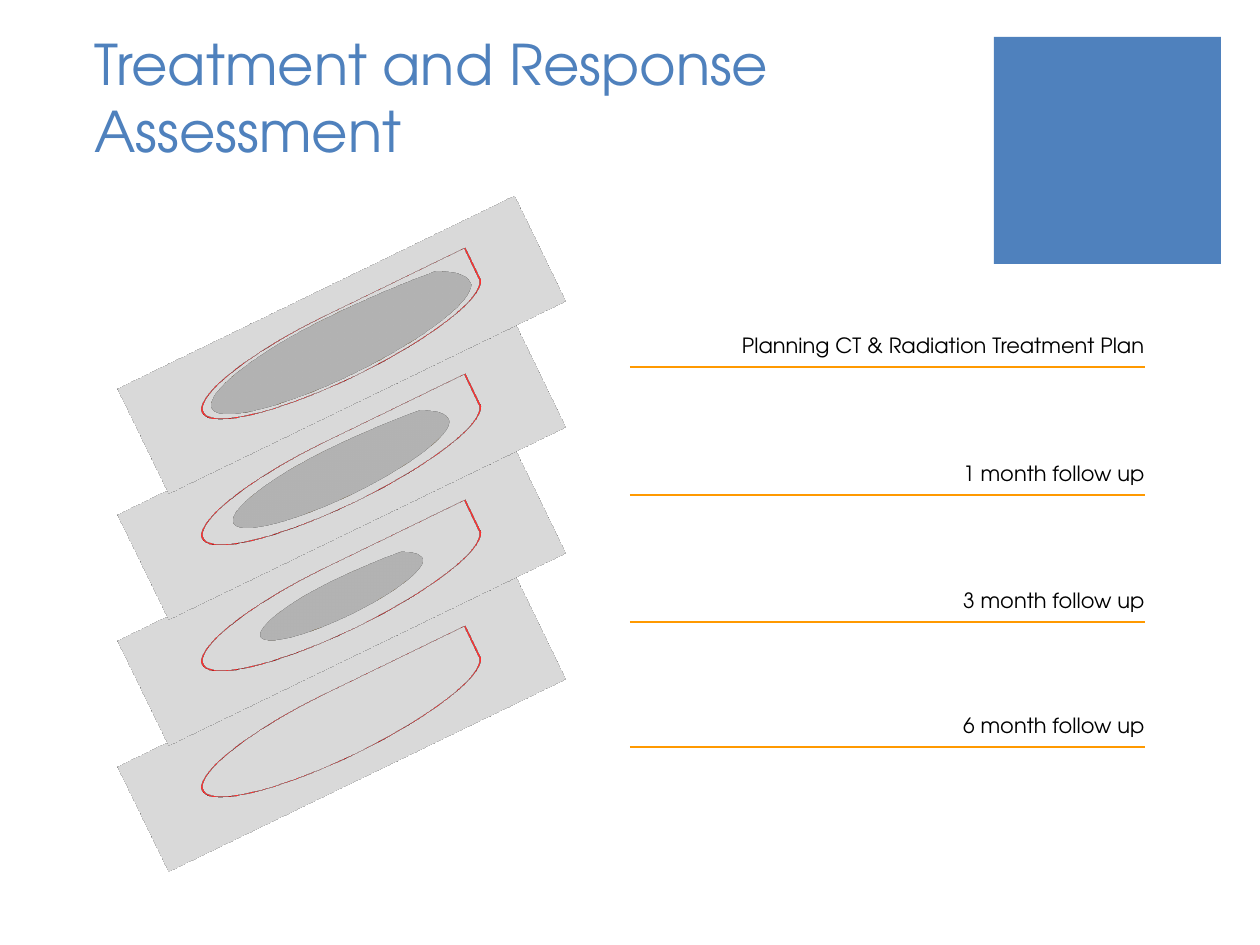
import lxml.etree
import pptx
import pptx.dml.color
import pptx.enum.shapes
import pptx.enum.text
import pptx.oxml.ns
import pptx.util

PX = 914400 // 126
FONT = "TeX Gyre Adventor"
COLORS = {
    "blue": "4F81BD",
    "orange": "FF9900",
    "white": "FFFFFF",
    "black": "000000",
    "slab": "A6A6A6",
    "tumor": "808080",
    "red": "FF0000",
}
SHAPES = pptx.enum.shapes.MSO_SHAPE
ALIGN = pptx.enum.text.PP_ALIGN
ANCHOR = pptx.enum.text.MSO_ANCHOR

STACK_CENTER = 341
STACK_TOP = 345
STACK_STEP = 126
SLAB_SIZE = (441, 378)
CONTOUR_SIZE = (306, 215)
TUMOR_SIZES = [(287, 198), (238, 164), (179, 123), None]
TUMOR_POINT = 0.814
TILT = {"lat": "17286000", "lon": "0", "rev": "1554000"}
STAGES = [  # label, line position, label width
    ("Planning CT & Radiation Treatment Plan", 367, 509),
    ("1 month follow up", 495, 420),
    ("3 month follow up", 622, 420),
    ("6 month follow up", 747, 420),
]


def rgb(name):
    return pptx.dml.color.RGBColor.from_string(COLORS[name])


def write(shape, text, size, color, align=ALIGN.LEFT, anchor=ANCHOR.MIDDLE):
    frame = shape.text_frame
    frame.word_wrap = True
    frame.vertical_anchor = anchor
    para = frame.paragraphs[0]
    para.alignment = align
    span = para.add_run()
    span.text = text
    span.font.name = FONT
    span.font.size = pptx.util.Pt(size)
    span.font.color.rgb = rgb(color)


def tilt(shape):
    """Turn the shape in its plane and lean it back, as a layer of the stack."""
    scene = lxml.etree.SubElement(
        shape._element.spPr, pptx.oxml.ns.qn("a:scene3d"))
    camera = lxml.etree.SubElement(
        scene, pptx.oxml.ns.qn("a:camera"), prst="orthographicFront")
    lxml.etree.SubElement(camera, pptx.oxml.ns.qn("a:rot"), **TILT)
    lxml.etree.SubElement(
        scene, pptx.oxml.ns.qn("a:lightRig"), rig="threePt", dir="t")


class Canvas:
    def __init__(self, deck):
        self.page = deck.slides.add_slide(deck.slide_layouts[6])

    def shape(self, kind, left, top, width, height, fill=None, line=None, weight=1):
        box = self.page.shapes.add_shape(
            kind, left * PX, top * PX, width * PX, height * PX)
        box.shadow.inherit = False
        if fill:
            box.fill.solid()
            box.fill.fore_color.rgb = rgb(fill)
        else:
            box.fill.background()
        if line:
            box.line.color.rgb = rgb(line)
            box.line.width = pptx.util.Pt(weight)
        else:
            box.line.fill.background()
        return box

    def title(self, text, left, top, width, height):
        box = self.page.shapes.add_textbox(
            left * PX, top * PX, width * PX, height * PX)
        write(box, text, size=32, color="blue", anchor=ANCHOR.BOTTOM)

    def rule(self, left, right, top):
        line = self.page.shapes.add_connector(
            pptx.enum.shapes.MSO_CONNECTOR.STRAIGHT,
            left * PX, top * PX, right * PX, top * PX)
        line.line.color.rgb = rgb("orange")
        line.line.width = pptx.util.Pt(1)
        lxml.etree.SubElement(
            line._element.spPr, pptx.oxml.ns.qn("a:effectLst"))

    def label(self, text, right, top, width):
        box = self.shape(SHAPES.RECTANGLE, right - width, top, width, 38,
                         fill="white", line="white", weight=2)
        write(box, text, size=12, color="black", align=ALIGN.RIGHT)

    def layer(self, kind, level, size, point=None, **style):
        """Add a tilted shape centred on one level of the stack."""
        width, height = size
        middle = STACK_TOP + level * STACK_STEP
        box = self.shape(kind, STACK_CENTER - width // 2, middle - height // 2,
                         width, height, **style)
        if point:
            box.adjustments[0] = point
        tilt(box)


def main():
    deck = pptx.Presentation()
    deck.slide_width = pptx.util.Inches(10)
    deck.slide_height = pptx.util.Inches(7.5)
    canvas = Canvas(deck)

    canvas.shape(SHAPES.RECTANGLE, 994, 37, 227, 227, fill="blue")
    canvas.title("Treatment and Response Assessment", 82, 63, 895, 107)

    for text, line_top, width in STAGES:
        canvas.rule(630, 1145, line_top)
        canvas.label(text, 1157, line_top - 41, width)

    levels = range(len(STAGES))
    for level in reversed(levels):
        canvas.layer(SHAPES.RECTANGLE, level, SLAB_SIZE, fill="slab")
        if TUMOR_SIZES[level]:
            canvas.layer(SHAPES.TEAR, level, TUMOR_SIZES[level],
                         point=TUMOR_POINT, fill="tumor", line="orange")
    for level in reversed(levels):
        canvas.layer(SHAPES.TEAR, level, CONTOUR_SIZE, line="red")

    deck.save("out.pptx")


if __name__ == "__main__":
    main()
